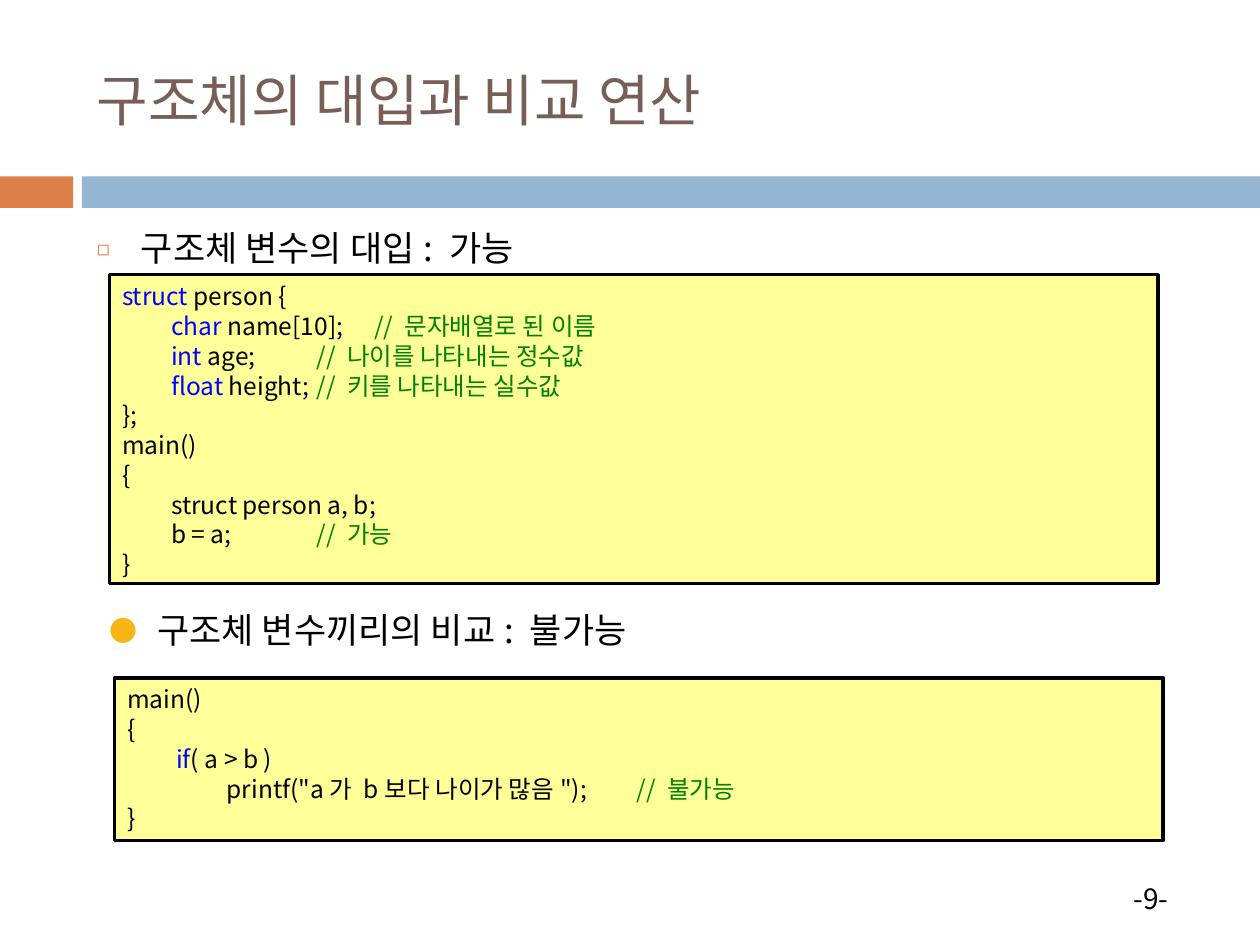
from dataclasses import dataclass

from lxml import etree
from pptx import Presentation
from pptx.dml.color import RGBColor
from pptx.enum.shapes import MSO_SHAPE
from pptx.enum.text import MSO_ANCHOR, PP_ALIGN
from pptx.oxml.ns import qn
from pptx.util import Inches, Pt

RECTANGLE = MSO_SHAPE.RECTANGLE
TOP, MIDDLE = MSO_ANCHOR.TOP, MSO_ANCHOR.MIDDLE
LEFT, CENTER, JUSTIFY = PP_ALIGN.LEFT, PP_ALIGN.CENTER, PP_ALIGN.JUSTIFY


@dataclass(frozen=True)
class Theme:
    """Colours, font and type sizes of the slide."""
    font: str = "Noto Sans CJK KR"
    title: str = "775F55"
    text: str = "000000"
    keyword: str = "0000FF"
    comment: str = "008000"
    code_fill: str = "FFFF99"
    accent: str = "DD8047"
    band: str = "94B6D2"
    dot: str = "F7B615"
    title_size: int = 32
    heading_size: int = 20
    code_size: int = 14
    code_leading: int = 17
    page_size: int = 16


THEME = Theme()
CODE_TABS = (0.39, 0.79, 1.18)
CODE_WIDTH = 8.32

ASSIGNMENT_CODE = [
    [("struct", THEME.keyword), (" person {", THEME.text)],
    [("\t", THEME.text), ("char", THEME.keyword), (" name[10]; \t", THEME.text),
     ("// 문자배열로 된 이름", THEME.comment)],
    [("\t", THEME.text), ("int ", THEME.keyword), ("age;\t \t ", THEME.text),
     ("// 나이를 나타내는 정수값", THEME.comment)],
    [("\t", THEME.text), ("float", THEME.keyword), (" height;\t ", THEME.text),
     ("// 키를 나타내는 실수값", THEME.comment)],
    [("};", THEME.text)],
    [("main()", THEME.text)],
    [("{", THEME.text)],
    [("\tstruct person a, b;", THEME.text)],
    [("\tb = a; \t\t ", THEME.text), ("// 가능", THEME.comment)],
    [("}", THEME.text)],
]
COMPARISON_CODE = [
    [("main()", THEME.text)],
    [("{", THEME.text)],
    [("\t", THEME.text), ("if", THEME.keyword), ("( a > b )", THEME.text)],
    [("\t\tprintf(\"a가 b보다 나이가 많음\");\t ", THEME.text),
     ("// 불가능", THEME.comment)],
    [("}", THEME.text)],
]


def add_run(paragraph, text, size, color):
    """Add one run in the theme font for Latin and Korean letters."""
    run = paragraph.add_run()
    run.text = text
    run.font.size = Pt(size)
    run.font.name = THEME.font
    run.font.color.rgb = RGBColor.from_string(color)
    east_asian = etree.SubElement(run.font._element, qn("a:ea"))
    east_asian.set("typeface", THEME.font)


def add_rectangle(slide, box, fill):
    """Add a plain filled rectangle without outline or shadow."""
    rectangle = slide.shapes.add_shape(RECTANGLE, *map(Inches, box))
    rectangle.shadow.inherit = False
    rectangle.fill.solid()
    rectangle.fill.fore_color.rgb = RGBColor.from_string(fill)
    rectangle.line.fill.background()
    return rectangle


def add_label(slide, box, text, size, color, align=LEFT, anchor=TOP):
    """Add a one-line text box and return its paragraph."""
    frame = slide.shapes.add_textbox(*map(Inches, box)).text_frame
    frame.word_wrap = True
    frame.vertical_anchor = anchor
    paragraph = frame.paragraphs[0]
    paragraph.alignment = align
    add_run(paragraph, text, size, color)
    return paragraph


def add_heading(slide, box, text, bullet, color, percent, indent):
    """Add a bulleted heading with a hanging indent."""
    paragraph = add_label(slide, box, text, THEME.heading_size, THEME.text)
    properties = paragraph._p.get_or_add_pPr()
    properties.set("marL", str(Inches(indent)))
    properties.set("indent", str(-Inches(indent)))
    bullet_color = etree.SubElement(properties, qn("a:buClr"))
    etree.SubElement(bullet_color, qn("a:srgbClr")).set("val", color)
    etree.SubElement(properties, qn("a:buSzPct")).set("val", str(percent * 1000))
    etree.SubElement(properties, qn("a:buFont")).set("typeface", THEME.font)
    etree.SubElement(properties, qn("a:buChar")).set("char", bullet)


def add_code(slide, left, top, height, lines):
    """Add an outlined code panel with coloured runs and tab stops."""
    panel = add_rectangle(slide, (left, top, CODE_WIDTH, height), THEME.code_fill)
    panel.line.color.rgb = RGBColor.from_string(THEME.text)
    panel.line.width = Pt(2)
    frame = panel.text_frame
    frame.word_wrap = True
    frame.vertical_anchor = TOP
    for index, line in enumerate(lines):
        paragraph = frame.add_paragraph() if index else frame.paragraphs[0]
        paragraph.alignment = JUSTIFY
        paragraph.line_spacing = Pt(THEME.code_leading)
        stops = etree.SubElement(paragraph._p.get_or_add_pPr(), qn("a:tabLst"))
        for position in CODE_TABS:
            stop = etree.SubElement(stops, qn("a:tab"))
            stop.set("pos", str(Inches(position)))
            stop.set("algn", "l")
        for text, color in line:
            add_run(paragraph, text, THEME.code_size, color)


def main():
    """Build the slide and save it."""
    deck = Presentation()
    deck.slide_width, deck.slide_height = Inches(10), Inches(7.5)
    slide = deck.slides.add_slide(deck.slide_layouts[6])

    add_rectangle(slide, (0, 1.4, 0.58, 0.25), THEME.accent)
    add_rectangle(slide, (0.65, 1.4, 9.35, 0.25), THEME.band)
    add_label(slide, (8.69, 6.95, 0.89, 0.37), "-9-", THEME.page_size,
              THEME.text, align=CENTER)
    add_label(slide, (0.67, 0.25, 8.92, 1.08), "구조체의 대입과 비교 연산",
              THEME.title_size, THEME.title, anchor=MIDDLE)

    add_heading(slide, (0.67, 1.75, 8.66, 0.52), "구조체 변수의 대입: 가능",
                "◻", THEME.accent, 60, 0.35)
    add_code(slide, 0.87, 2.18, 2.45, ASSIGNMENT_CODE)
    add_heading(slide, (0.77, 4.78, 8.66, 0.52), "구조체 변수끼리의 비교: 불가능",
                "●", THEME.dot, 80, 0.38)
    add_code(slide, 0.91, 5.38, 1.29, COMPARISON_CODE)

    deck.save("out.pptx")


if __name__ == "__main__":
    main()
